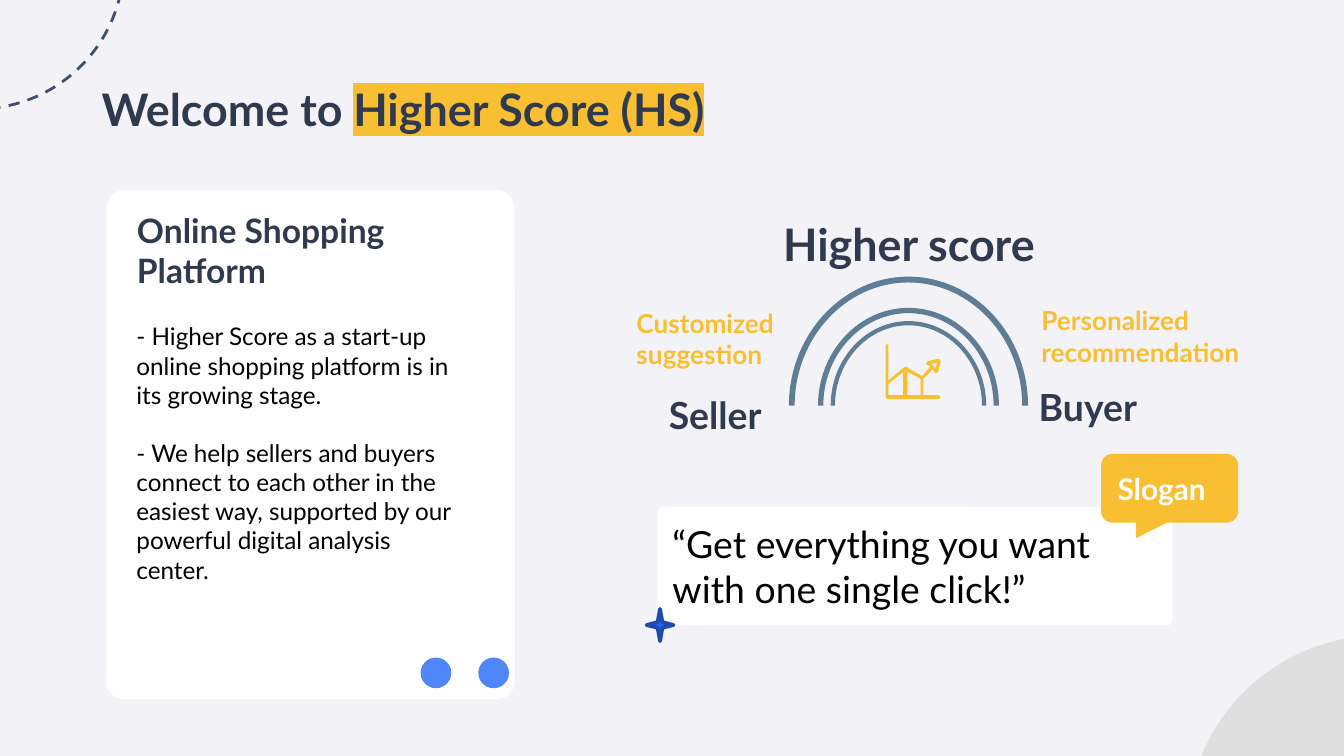
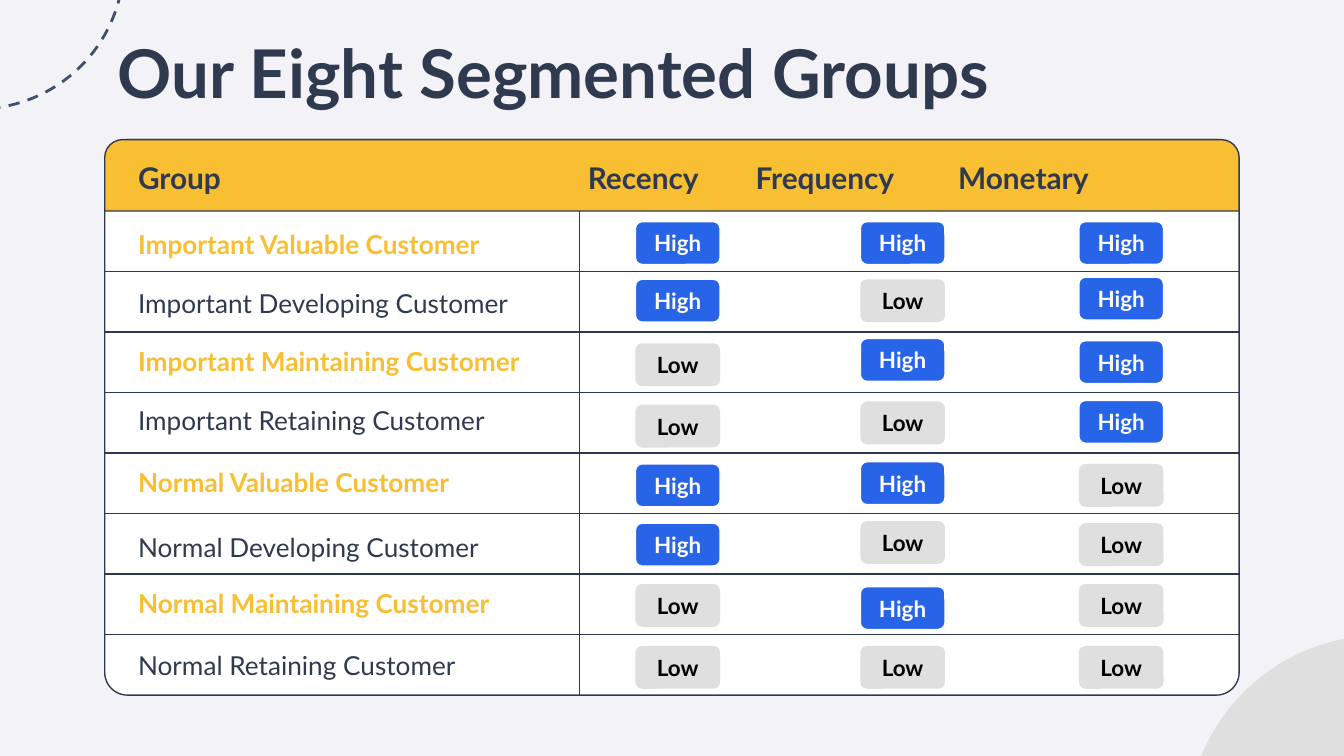
from lxml.etree import SubElement
from pptx import Presentation
from pptx.dml.color import RGBColor
from pptx.enum.dml import MSO_LINE
from pptx.enum.shapes import MSO_CONNECTOR, MSO_SHAPE
from pptx.enum.text import MSO_ANCHOR, PP_ALIGN
from pptx.oxml.ns import qn
from pptx.util import Cm, Pt

FONT = "Lato"
NAVY, YELLOW, WHITE, BLACK = "2F3A4F", "F8BF33", "FFFFFF", "000000"
GREY, BLUE, STEEL = "DFDFDF", "2764E8", "5F7D95"


def color(code):
    return RGBColor.from_string(code)


def style(shape, fill=None, line=None, weight=0.75):
    shape.shadow.inherit = False
    if fill:
        shape.fill.solid()
        shape.fill.fore_color.rgb = color(fill)
    else:
        shape.fill.background()
    if line:
        shape.line.color.rgb = color(line)
        shape.line.width = Pt(weight)
    else:
        shape.line.fill.background()
    return shape


def add_preset(slide, kind, left, top, width, height, fill=None, line=None, weight=0.75, adjust=None):
    shape = slide.shapes.add_shape(kind, Cm(left), Cm(top), Cm(width), Cm(height))
    if adjust is not None:
        shape.adjustments[0] = adjust
    return style(shape, fill, line, weight)


def add_rule(slide, x1, y1, x2, y2, ink):
    rule = slide.shapes.add_connector(MSO_CONNECTOR.STRAIGHT, Cm(x1), Cm(y1), Cm(x2), Cm(y2))
    rule.line.color.rgb = color(ink)
    rule.line.width = Pt(0.75)
    SubElement(rule.element.spPr, qn("a:effectLst"))


def write(shape, lines, size, ink, bold=False, align=PP_ALIGN.LEFT,
          anchor=MSO_ANCHOR.TOP, inset=0.25, gap=0):
    frame = shape.text_frame
    frame.word_wrap = True
    frame.vertical_anchor = anchor
    frame.margin_left = frame.margin_right = Cm(0.25)
    frame.margin_top = frame.margin_bottom = Cm(inset)
    for index, line in enumerate(lines):
        paragraph = frame.add_paragraph() if index else frame.paragraphs[0]
        paragraph.text = line
        paragraph.alignment = align
        if index and gap:
            paragraph.space_before = Pt(gap)
        font = paragraph.font
        font.name, font.size, font.bold = FONT, Pt(size), bold
        font.color.rgb = color(ink)
    return frame


def add_text(slide, left, top, width, height, lines, size, ink, **options):
    box = slide.shapes.add_textbox(Cm(left), Cm(top), Cm(width), Cm(height))
    return write(box, lines, size, ink, **options)


def add_outline(slide, contours, fill):
    points = [[(Cm(x), Cm(y)) for x, y in contour] for contour in contours]
    builder = slide.shapes.build_freeform(*points[0][0])
    for index, contour in enumerate(points):
        if index:
            builder.move_to(*contour[0])
        builder.add_line_segments(contour[1:], close=True)
    return style(builder.convert_to_shape(), fill)


def new_slide(deck):
    slide = deck.slides.add_slide(deck.slide_layouts[6])
    slide.background.fill.solid()
    slide.background.fill.fore_color.rgb = color("F3F3F7")
    add_preset(slide, MSO_SHAPE.OVAL, 22.43, 12.01, 7.34, 7.34, GREY)
    ring = add_preset(slide, MSO_SHAPE.OVAL, -3.2, -3.48, 5.54, 5.54, None, "40506C", 1.5)
    ring.line.dash_style = MSO_LINE.DASH
    return slide


def add_title(slide, left, top, text, size, marked=""):
    frame = add_text(slide, left, top, 21.44, 2.06, [text], size, NAVY, bold=True)
    if marked:
        run = frame.paragraphs[0].add_run()
        run.text = marked
        highlight = SubElement(run.font._element, qn("a:highlight"))
        SubElement(highlight, qn("a:srgbClr")).set("val", YELLOW)


def add_platform_card(slide, left, top, width, height):
    add_preset(slide, MSO_SHAPE.ROUNDED_RECTANGLE, left, top, width, height, WHITE, adjust=0.045)
    add_text(slide, left + 0.33, top + 0.12, 6.45, 2.67, ["Online Shopping Platform"], 18, NAVY, bold=True)
    add_text(slide, left + 0.32, top + 2.24, 6.76, 5.72, [
        "- Higher Score as a start-up online shopping platform is in its growing stage.",
        "- We help sellers and buyers connect to each other in the easiest way, "
        "supported by our powerful digital analysis center.",
    ], 13, BLACK, gap=15.6)
    for index in range(2):
        add_preset(slide, MSO_SHAPE.OVAL, left + 5.94 + 1.09 * index, top + 8.84, 0.58, 0.58, "4F87FB")


def add_half_ring(slide, center, base, radius_x, radius_y, thickness):
    bend = 0.55

    def arc(inset, side):
        rx, ry = side * (radius_x - inset), radius_y - inset
        unit = [(-1, 0), (-1, bend), (-bend, 1), (0, 1), (bend, 1), (1, bend), (1, 0)]
        return [(center + rx * x, base - ry * y) for x, y in unit]

    ring = add_outline(slide, [arc(0, 1) + arc(thickness, -1)], STEEL)
    outline = next(ring.element.iter(qn("a:path")))
    corners = outline.findall(qn("a:lnTo"))
    for curve in (corners[0:3], corners[3:6], corners[7:10], corners[10:13]):
        bezier = SubElement(outline, qn("a:cubicBezTo"))
        curve[0].addprevious(bezier)
        for corner in curve:
            bezier.append(corner[0])
            outline.remove(corner)


def add_growth_icon(slide, left, top):
    tip = [(0.97, 0.36), (0.94, 0.46), (0.86, 0.38)]
    first_bar = [(0.33, 0.53), (0.33, 0.97), (0.05, 0.97), (0.05, 0.76)]
    second_bar = [(0.41, 0.53), (0.66, 0.66), (0.66, 0.97), (0.41, 0.97)]
    border = [(0.03, 0), (0, 0.03), (0, 1.01), (0.03, 1.04), (1, 1.04), (1.04, 1.01), (1, 0.97),
              (0.71, 0.97), (0.71, 0.66), (0.89, 0.48), (0.94, 0.56), (0.99, 0.53), (1.04, 0.33),
              (1, 0.28), (0.79, 0.33), (0.76, 0.38), (0.84, 0.43), (0.69, 0.61), (0.38, 0.43),
              (0.34, 0.45), (0.05, 0.69), (0.05, 0.03)]
    add_outline(slide, [[(left + x, top + y) for x, y in part]
                        for part in (tip, first_bar, second_bar, border)], YELLOW)


def add_bridge(slide, left, top):
    for radius_x, radius_y, thickness in [(2.26, 2.44, 0.11), (1.71, 1.85, 0.1), (1.47, 1.6, 0.08)]:
        add_half_ring(slide, left + 5.38, top + 3.83, radius_x, radius_y, thickness)
    for x, y, width, label, size in [(2.76, 0, 6.32, "Higher score", 24),
                                     (0.6, 3.32, 3.53, "Seller", 20),
                                     (7.59, 3.18, 3.53, "Buyer", 20)]:
        add_text(slide, left + x, top + y, width, 1.04, [label], size, NAVY, bold=True)
    for x, y, width, lines in [(7.64, 1.79, 4.7, ["Personalized", "recommendation"]),
                               (-0.01, 1.84, 3.56, ["Customized", "suggestion"])]:
        add_text(slide, left + x, top + y, width, 1.45, lines, 14, YELLOW, bold=True, inset=0.13)
    add_growth_icon(slide, left + 4.95, top + 2.66)


def add_slogan(slide, left, top, width, height):
    quote = add_preset(slide, MSO_SHAPE.ROUNDED_RECTANGLE, left, top, width, height, WHITE, adjust=0.045)
    write(quote, ["“Get everything you want with one single click!”"], 20, BLACK, anchor=MSO_ANCHOR.MIDDLE)


def add_slogan_badge(slide, left, top, width, height):
    bubble = add_preset(slide, MSO_SHAPE.ROUNDED_RECTANGLE, left, top, width, height, YELLOW)
    write(bubble, ["Slogan"], 16, WHITE, bold=True, anchor=MSO_ANCHOR.MIDDLE)
    tail = add_preset(slide, MSO_SHAPE.RIGHT_TRIANGLE, left + 0.66, top + 1.26, 0.66, 0.33, YELLOW)
    tail.rotation = 180
    tail.element.spPr.find(qn("a:xfrm")).set("flipH", "1")


def add_headings(slide, left, top, headings):
    frame = add_text(slide, left, top, 20.9, 0.94, ["\t".join(headings)], 16, NAVY, bold=True, inset=0.13)
    properties = frame.paragraphs[0]._p.get_or_add_pPr()
    stops = SubElement(properties, qn("a:tabLst"))
    properties.insert(0, stops)
    for position in (8.5, 11.67, 15.5):
        SubElement(stops, qn("a:tab"), pos=str(Cm(position)), algn="l")


def add_rating(slide, left, top, level):
    fill, line, ink = (BLUE, WHITE, WHITE) if level == "High" else (GREY, None, BLACK)
    pill = add_preset(slide, MSO_SHAPE.ROUNDED_RECTANGLE, left, top, 1.6, 0.81, fill, line, adjust=0.156)
    write(pill, [level], 12, ink, bold=True, align=PP_ALIGN.CENTER, anchor=MSO_ANCHOR.MIDDLE)


def add_segment_grid(slide, left, top, width, height, headings, segments):
    header = 1.35
    pitch = (height - header) / len(segments)
    add_preset(slide, MSO_SHAPE.ROUNDED_RECTANGLE, left, top, width, height, WHITE, NAVY, adjust=0.041)
    add_preset(slide, MSO_SHAPE.ROUND_2_SAME_RECTANGLE, left, top, width, header, YELLOW, NAVY, adjust=0.251)
    for index in range(1, len(segments)):
        y = top + header + pitch * index
        add_rule(slide, left, y, left + width, y, "2D384E")
    add_headings(slide, left + 0.38, top + 0.25, headings)
    for index, (segment, name_top, levels, level_tops) in enumerate(segments):
        valued = index % 2 == 0
        add_text(slide, left + 0.38, top + name_top, 9.45, 0.86, [segment], 14,
                 YELLOW if valued else NAVY, bold=valued, inset=0.13)
        for x, y, level in zip((10.03, 14.28, 18.41), level_tops, levels.split()):
            add_rating(slide, left + x, top + y, level)
    add_rule(slide, left + 8.97, top + header, left + 8.97, top + height, NAVY)


def build_welcome(deck):
    slide = new_slide(deck)
    add_slogan(slide, 12.43, 9.58, 9.73, 2.24)
    add_title(slide, 1.67, 1.3, "Welcome to ", 24, "Higher Score (HS)")
    add_platform_card(slide, 2.01, 3.59, 7.72, 9.63)
    add_slogan_badge(slide, 20.81, 8.58, 2.59, 1.3)
    add_bridge(slide, 11.79, 3.84)
    add_preset(slide, MSO_SHAPE.STAR_4_POINT, 12.22, 11.51, 0.51, 0.61, BLUE, "1D4AAC", 2)


def build_segments(deck):
    slide = new_slide(deck)
    add_segment_grid(slide, 1.98, 2.64, 21.44, 10.5, ["Group", "Recency", "Frequency", "Monetary"], [
        ("Important Valuable Customer", 1.55, "High High High", (1.55, 1.55, 1.55)),
        ("Important Developing Customer", 2.67, "High Low High", (2.64, 2.64, 2.6)),
        ("Important Maintaining Customer", 3.76, "Low High High", (3.85, 3.76, 3.8)),
        ("Important Retaining Customer", 4.88, "Low Low High", (5.01, 4.95, 4.93)),
        ("Normal Valuable Customer", 6.05, "High High Low", (6.13, 6.09, 6.13)),
        ("Normal Developing Customer", 7.28, "High Low Low", (7.25, 7.21, 7.25)),
        ("Normal Maintaining Customer", 8.33, "Low High Low", (8.4, 8.45, 8.4)),
        ("Normal Retaining Customer", 9.5, "Low Low Low", (9.57, 9.57, 9.57)),
    ])
    add_title(slide, 1.98, 0.34, "Our Eight Segmented Groups", 36)


deck = Presentation()
deck.slide_width, deck.slide_height = Cm(25.4), Cm(14.29)
build_welcome(deck)
build_segments(deck)
deck.save("out.pptx")
